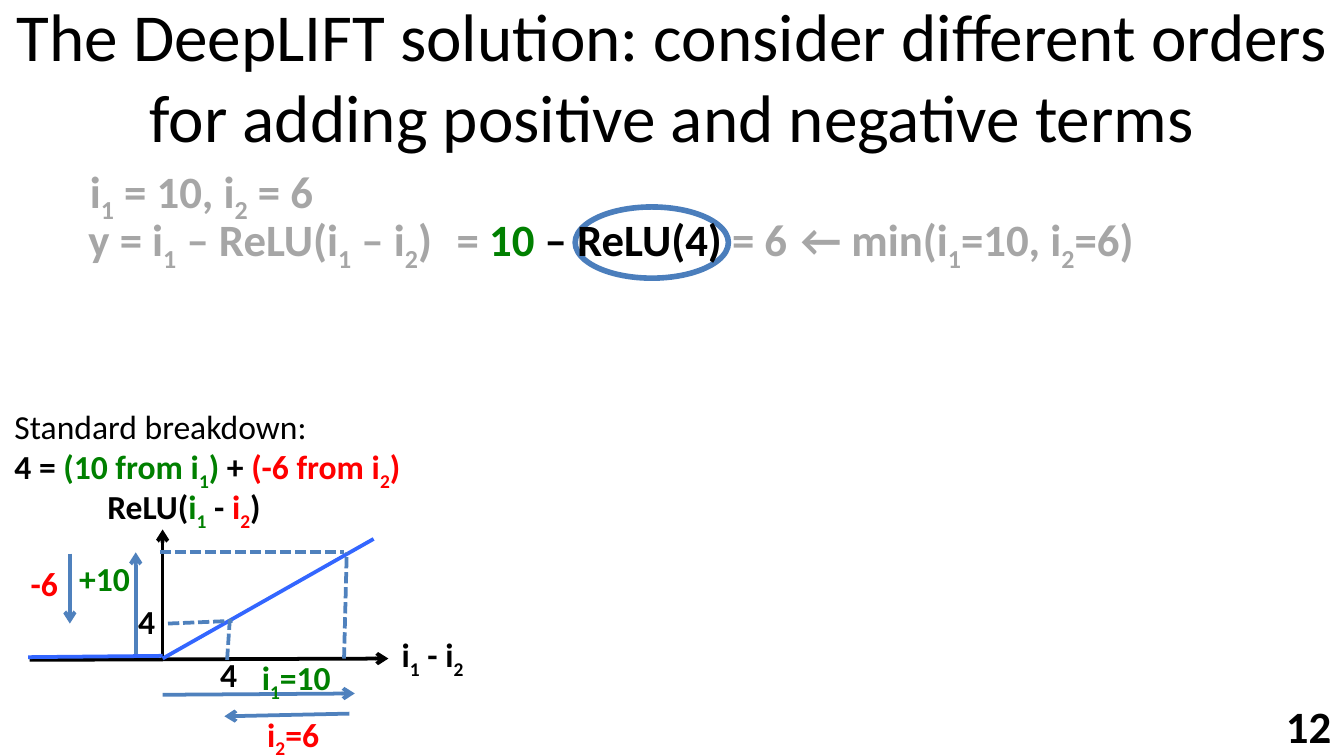
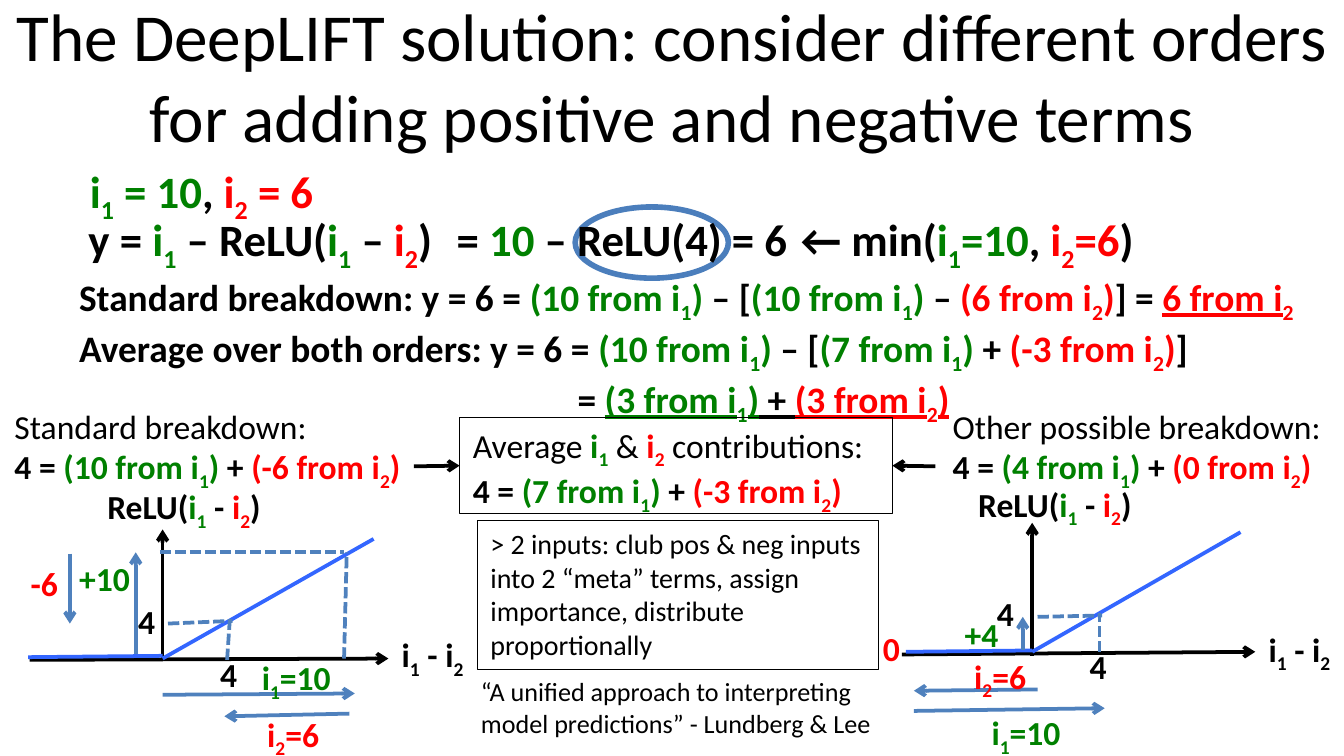
"""Build two slides on ordering positive and negative terms in DeepLIFT."""
from dataclasses import dataclass
from typing import Any, NamedTuple

from lxml.etree import SubElement
from pptx import Presentation
from pptx.dml.color import RGBColor
from pptx.enum.shapes import MSO_CONNECTOR, MSO_SHAPE
from pptx.enum.text import MSO_ANCHOR, MSO_AUTO_SIZE, PP_ALIGN
from pptx.oxml.ns import qn
from pptx.util import Inches, Pt

FONT = "Calibri"
BLACK, GRAY, GREEN, RED = "000000", "A6A6A6", "008000", "FF0000"
STEEL, CURVE, RING = "4F81BD", "3366FF", "4B7EBC"
TITLE = "The DeepLIFT solution: consider different orders for adding positive and negative terms"


class RunStyle(NamedTuple):
    """Look of a run, chosen by the letter after a bar in marked-up text."""

    color: str
    bold: bool = True
    underline: bool = False


RUN_STYLES = {
    "k": RunStyle(BLACK),
    "a": RunStyle(GRAY),
    "g": RunStyle(GREEN),
    "r": RunStyle(RED),
    "K": RunStyle(BLACK, bold=False),
    "U": RunStyle(BLACK, underline=True),
    "G": RunStyle(GREEN, underline=True),
    "R": RunStyle(RED, underline=True),
}


@dataclass(frozen=True)
class Label:
    """Marked-up text: a bar and letter set the style, an underscore lowers one character."""

    left: float
    top: float
    width: float
    height: float
    paragraphs: tuple[str, ...]
    size: float = 18
    wrap: bool = False
    last_indent: float = 0


@dataclass(frozen=True)
class Stroke:
    """Straight line with an optional arrowhead at its end."""

    start: tuple[float, float]
    end: tuple[float, float]
    color: str = STEEL
    arrow: bool = False
    dashed: bool = False


@dataclass(frozen=True)
class ReluPlot:
    """Axes and curve as one group, with guides and labels around them."""

    axes: tuple[Stroke, ...]
    guides: tuple[Stroke, ...]
    labels: tuple[Label, ...]


def small_label(left: float, top: float, width: float, text: str) -> Label:
    """Return a one-line plot label."""
    return Label(left, top, width, 0.4, (text,))


def equation(left: float, top: float, width: float, text: str, wrap: bool = False) -> Label:
    """Return a one-line label in the large equation size."""
    return Label(left, top, width, 0.5, (text,), 24, wrap)


RELU_NAME = "|kReLU(|gi_1|k - |ri_2|k)"
AXIS_NAME = "|ki_1 - i_2"

STANDARD_PLOT = ReluPlot(
    axes=(
        Stroke((1.21, 4.92), (1.21, 3.94), BLACK, arrow=True),
        Stroke((0.22, 4.91), (2.89, 4.9), BLACK, arrow=True),
        Stroke((2.78, 4.01), (1.21, 4.9), CURVE),
        Stroke((1.21, 4.88), (0.21, 4.89), CURVE),
    ),
    guides=(
        Stroke((1.21, 5.17), (2.64, 5.16), arrow=True),
        Stroke((2.6, 5.31), (1.67, 5.33), arrow=True),
        Stroke((1.01, 4.87), (1.01, 4.11), arrow=True),
        Stroke((0.52, 4.12), (0.52, 4.64), arrow=True),
        Stroke((2.56, 4.9), (2.58, 4.11), dashed=True),
        Stroke((1.69, 4.91), (1.71, 4.61), dashed=True),
        Stroke((1.19, 4.11), (2.56, 4.11), dashed=True),
        Stroke((1.25, 4.64), (1.73, 4.62), dashed=True),
    ),
    labels=(
        Label(0.01, 2.97, 3.13, 0.71,
              ("|KStandard breakdown:", "|k4 =|g (10 from i_1)|k + |r(-6 from i_2)")),
        small_label(0.7, 3.57, 1.39, RELU_NAME),
        small_label(2.89, 4.67, 0.69, AXIS_NAME),
        small_label(0.13, 4.14, 0.41, "|r-6"),
        small_label(0.49, 4.1, 0.58, "|g+10"),
        small_label(1.85, 4.84, 0.73, "|gi_1=10"),
        small_label(1.89, 5.26, 0.6, "|ri_2=6"),
        small_label(1.54, 4.82, 0.33, "|k4"),
        small_label(0.93, 4.42, 0.33, "|k4"),
    ),
)

OTHER_PLOT = ReluPlot(
    axes=(
        Stroke((7.68, 4.88), (7.68, 3.89), BLACK, arrow=True),
        Stroke((6.71, 4.87), (9.34, 4.85), BLACK, arrow=True),
        Stroke((9.23, 3.96), (7.68, 4.85), CURVE),
        Stroke((7.68, 4.84), (6.74, 4.85), CURVE),
    ),
    guides=(
        Stroke((6.8, 5.29), (8.22, 5.27), arrow=True),
        Stroke((7.72, 5.13), (6.8, 5.14), arrow=True),
        Stroke((7.61, 4.84), (7.61, 4.59), arrow=True),
        Stroke((8.18, 4.85), (8.18, 4.56), dashed=True),
        Stroke((7.72, 4.59), (8.2, 4.58), dashed=True),
    ),
    labels=(
        Label(6.99, 2.97, 2.98, 0.71,
              ("|KOther possible breakdown:", "|k4 = |g(4 from i_1)|k + |r(0 from i_2)")),
        small_label(7.18, 3.55, 1.39, RELU_NAME),
        small_label(9.34, 4.63, 0.69, AXIS_NAME),
        small_label(7.08, 4.52, 0.46, "|g+4"),
        small_label(7.28, 5.25, 0.73, "|gi_1=10"),
        small_label(7.15, 4.83, 0.6, "|ri_2=6"),
        small_label(6.47, 4.62, 0.33, "|r0"),
        small_label(8.01, 4.76, 0.33, "|k4"),
        small_label(7.32, 4.36, 0.33, "|k4"),
    ),
)

BREAKDOWNS = Label(
    0.49, 1.99, 9.4, 1.11,
    (
        "|kStandard breakdown: y = 6 = |g(10 from i_1)|k – [|g(10 from i_1) |k– "
        "|r(6 from i_2)|k] = |R6 from i_2",
        "|kAverage over both orders: y = 6 = |g(10 from i_1)|k – [|g(7 from i_1) |k+ "
        "|r(-3 from i_2)|k]",
        "|k= |G(3 from i_1)|U + |R(3 from i_2)",
    ),
    size=20,
    last_indent=3.71,
)
AVERAGE = Label(
    3.42, 3.11, 3.22, 0.71,
    ("|KAverage |gi_1|K & |ri_2|K contributions:", "|k4 = |g(7 from i_1) |k+ |r(-3 from i_2)"),
    wrap=True,
)
MANY_INPUTS = Label(
    3.55, 3.87, 2.99, 1.11,
    ("|K> 2 inputs: club pos & neg inputs into 2 “meta” terms, assign importance, "
     "distribute proportionally",),
    15, wrap=True,
)
CITATION = Label(
    3.48, 4.98, 3.22, 0.57,
    ("|K“A unified approach to interpreting model predictions” - Lundberg & Lee",),
    14, wrap=True,
)


def rgb(color: str) -> RGBColor:
    """Turn a hex string into a colour."""
    return RGBColor.from_string(color)


def add_run(paragraph: Any, text: str, style: RunStyle, size: float, lowered: bool) -> None:
    """Append one formatted run, skipping empty text."""
    if not text:
        return
    run = paragraph.add_run()
    run.text = text
    run.font.name = FONT
    run.font.size = Pt(size)
    run.font.bold = style.bold
    run.font.color.rgb = rgb(style.color)
    if lowered:
        run.font._element.set("baseline", "-25000")
    elif style.underline:
        run.font.underline = True


def write_label(shape: Any, label: Label) -> None:
    """Write the marked-up paragraphs of a label into a shape."""
    frame = shape.text_frame
    frame.word_wrap = label.wrap
    frame.auto_size = MSO_AUTO_SIZE.SHAPE_TO_FIT_TEXT
    frame.vertical_anchor = MSO_ANCHOR.TOP
    for index, text in enumerate(label.paragraphs):
        paragraph = frame.add_paragraph() if index else frame.paragraphs[0]
        paragraph.alignment = PP_ALIGN.LEFT
        for piece in text.split("|")[1:]:
            style = RUN_STYLES[piece[0]]
            plain, *lowered_parts = piece[1:].split("_")
            add_run(paragraph, plain, style, label.size, False)
            for part in lowered_parts:
                add_run(paragraph, part[0], style, label.size, True)
                add_run(paragraph, part[1:], style, label.size, False)
    if label.last_indent:
        properties = frame.paragraphs[-1]._p.get_or_add_pPr()
        properties.set("marL", str(Inches(label.last_indent)))


def add_label(slide: Any, label: Label) -> None:
    """Add a label as a text box."""
    box = slide.shapes.add_textbox(
        Inches(label.left), Inches(label.top), Inches(label.width), Inches(label.height))
    write_label(box, label)


def add_outline(slide: Any, kind: MSO_SHAPE, bounds: tuple[float, ...], color: str,
                weight: float) -> Any:
    """Add an unfilled outlined shape."""
    shape = slide.shapes.add_shape(kind, *(Inches(value) for value in bounds))
    shape.shadow.inherit = False
    shape.fill.background()
    shape.line.color.rgb = rgb(color)
    shape.line.width = Pt(weight)
    return shape


def add_framed_label(slide: Any, label: Label) -> Any:
    """Add a label in a thin black rectangle."""
    bounds = (label.left, label.top, label.width, label.height)
    shape = add_outline(slide, MSO_SHAPE.RECTANGLE, bounds, BLACK, 0.5)
    write_label(shape, label)
    return shape


def add_stroke(shapes: Any, stroke: Stroke) -> Any:
    """Add a stroke to a slide's or a group's shapes."""
    points = (Inches(value) for value in stroke.start + stroke.end)
    connector = shapes.add_connector(MSO_CONNECTOR.STRAIGHT, *points)
    connector.line.color.rgb = rgb(stroke.color)
    connector.line.width = Pt(2)
    properties = connector._element.spPr
    outline = properties.find(qn("a:ln"))
    if stroke.dashed:
        SubElement(outline, qn("a:prstDash"), val="sysDash")
    if stroke.arrow:
        SubElement(outline, qn("a:tailEnd"), type="arrow")
    SubElement(properties, qn("a:effectLst"))
    return connector


def add_plot(slide: Any, plot: ReluPlot) -> None:
    """Draw a ReLU plot."""
    group = slide.shapes.add_group_shape()
    for stroke in plot.axes:
        add_stroke(group.shapes, stroke)
    for stroke in plot.guides:
        add_stroke(slide.shapes, stroke)
    for label in plot.labels:
        add_label(slide, label)


def add_base_slide(presentation: Any, inputs: str, formula: str, value: str, minimum: str) -> Any:
    """Add a slide with the title, the equations and the standard plot."""
    slide = presentation.slides.add_slide(presentation.slide_layouts[6])
    title = slide.shapes.add_textbox(0, Inches(0.09), Inches(10), Inches(0.94)).text_frame
    title.word_wrap = True
    title.vertical_anchor = MSO_ANCHOR.MIDDLE
    title.paragraphs[0].alignment = PP_ALIGN.CENTER
    add_run(title.paragraphs[0], TITLE, RUN_STYLES["K"], 36, False)
    add_plot(slide, STANDARD_PLOT)
    add_outline(slide, MSO_SHAPE.OVAL, (4.28, 1.54, 1.14, 0.53), RING, 3)
    add_label(slide, equation(0.57, 1.17, 2.29, inputs, wrap=True))
    add_label(slide, equation(0.56, 1.53, 2.99, formula, wrap=True))
    add_label(slide, equation(3.3, 1.53, 2.77, value))
    add_label(slide, equation(5.86, 1.53, 2.76, minimum))
    return slide


def main() -> None:
    """Build and save the presentation."""
    presentation = Presentation()
    presentation.slide_width = Inches(10)
    presentation.slide_height = Inches(10) * 9 // 16

    slide = add_base_slide(
        presentation, "|ai_1 = 10, i_2 = 6", "|ay = i_1 – ReLU(i_1 – i_2)",
        "|a= |g10|k – ReLU(4) |a= 6", "|a← min(i_1=10, i_2=6)")
    add_label(slide, equation(9.47, 5.15, 0.54, "|k12"))

    slide = add_base_slide(
        presentation, "|gi_1 = 10|k, |ri_2 = 6", "|ky = |gi_1|k – ReLU(|gi_1|k – |ri_2|k)",
        "|k= |g10|k – ReLU(4) = 6", "|k← min(|gi_1=10|k,|r i_2=6|k)")
    add_plot(slide, OTHER_PLOT)
    add_label(slide, BREAKDOWNS)
    average_box = add_framed_label(slide, AVERAGE)
    for start, end, side in ((3.08, 3.42, 1), (6.96, 6.64, 3)):
        arrow = add_stroke(slide.shapes, Stroke((start, 3.47), (end, 3.47), BLACK, arrow=True))
        arrow.end_connect(average_box, side)
    add_framed_label(slide, MANY_INPUTS)
    add_label(slide, CITATION)

    presentation.save("out.pptx")


if __name__ == "__main__":
    main()
